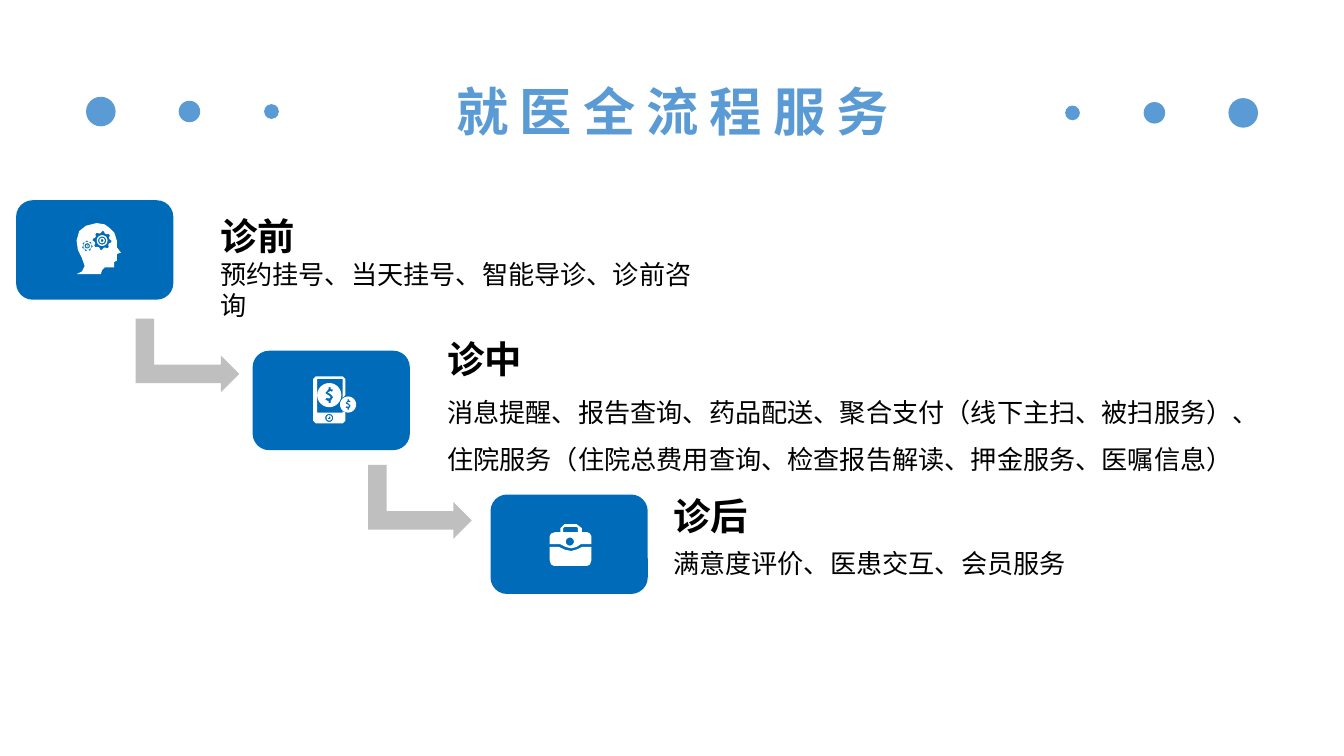
import math
import pptx
import pptx.util
import pptx.dml.color
import pptx.enum.shapes
import pptx.enum.text
from pptx.util import Inches, Pt

FONT = "Noto Sans CJK SC"
LIGHT_BLUE, BLUE, GREY, WHITE, BLACK = "5B9BD5", "006CB9", "BFBFBF", "FFFFFF", "000000"
SHAPE = pptx.enum.shapes.MSO_SHAPE

# Content: card corner, text box, line spacing, heading and details
TITLE = "就医全流程服务"
STAGES = [
    ((0.12, 1.49), (1.54, 1.54, 3.89, 0.67), 1.0, "诊前",
     ["预约挂号、当天挂号、智能导诊、诊前咨询"]),
    ((1.88, 2.61), (3.23, 2.45, 6.66, 1.14), 1.5, "诊中",
     ["消息提醒、报告查询、药品配送、聚合支付（线下主扫、被扫服务）、",
      "住院服务（住院总费用查询、检查报告解读、押金服务、医嘱信息）"]),
    ((3.65, 3.68), (4.91, 3.62, 3.73, 1.99), 1.3, "诊后",
     ["满意度评价、医患交互、会员服务"]),
]
CARD_SIZE = (1.17, 0.74)
ARROWS = [(1.12, 2.26), (2.85, 3.35)]
DOTS = [(0.75, 0.22), (1.41, 0.16), (2.02, 0.11)]  # centre x, diameter
LEFT_DOT_Y, RIGHT_DOT_Y = 0.83, 0.84

# Icon outlines
HEAD = [(0.57, 2.04), (0.61, 2.02), (0.63, 1.98), (0.61, 1.92), (0.58, 1.86),
        (0.57, 1.79), (0.59, 1.72), (0.64, 1.68), (0.72, 1.66), (0.78, 1.67),
        (0.82, 1.70), (0.85, 1.73), (0.87, 1.79), (0.87, 1.84), (0.90, 1.88),
        (0.87, 1.89), (0.87, 1.94), (0.85, 1.95), (0.85, 1.99), (0.78, 1.99),
        (0.76, 2.01), (0.75, 2.04)]
PHONE = [(2.35, 2.80), (2.55, 2.80), (2.57, 2.82), (2.57, 2.94), (2.55, 2.96),
         (2.55, 2.82), (2.36, 2.82), (2.36, 3.07), (2.55, 3.07), (2.55, 3.06),
         (2.57, 3.07), (2.57, 3.13), (2.55, 3.15), (2.35, 3.15), (2.33, 3.13),
         (2.33, 2.82)]
POWER_BAR = [(2.44, 3.09), (2.45, 3.09), (2.45, 3.11), (2.44, 3.11)]
# Dollar sign around the centre of a coin of radius 9
DOLLAR = [(1, 4.5), (1, 6), (-0.5, 6), (-0.5, 4.5), (-3, 3.5), (-2, 2), (0, 2.5),
          (1, 1.5), (0, 0.5), (-3, -1.5), (-0.5, -4.5), (-0.5, -6), (1, -6),
          (1, -4.5), (3, -4), (2, -2.5), (1, -3), (-1, -2), (1, -0.8), (3, 1.5)]
CASE_TOP = [(4.09, 4.05), (4.09, 3.99), (4.10, 3.97), (4.13, 3.96), (4.17, 3.96),
            (4.17, 3.93), (4.20, 3.90), (4.29, 3.90), (4.33, 3.93), (4.33, 3.96),
            (4.37, 3.96), (4.39, 3.97), (4.40, 3.99), (4.40, 4.05), (4.32, 4.05),
            (4.29, 4.07), (4.25, 4.08), (4.21, 4.07), (4.17, 4.05)]
CASE_HANDLE = [(4.19, 3.96), (4.19, 3.93), (4.20, 3.92), (4.29, 3.92), (4.30, 3.93),
               (4.30, 3.96)]
CASE_BASE = [(4.09, 4.07), (4.16, 4.07), (4.20, 4.09), (4.25, 4.10), (4.29, 4.09),
             (4.33, 4.07), (4.40, 4.07), (4.40, 4.17), (4.39, 4.20), (4.37, 4.21),
             (4.12, 4.21), (4.10, 4.20), (4.09, 4.17)]


def circle(x, y, radius, steps=24):
    angles = [2 * math.pi * i / steps for i in range(steps)]
    return [(x + radius * math.cos(a), y + radius * math.sin(a)) for a in angles]


def gear(x, y, radius, teeth=8):
    outline = []
    for i, (px, py) in enumerate(circle(x, y, radius, teeth * 4)):
        scale = 1 if i % 4 < 2 else 0.8
        outline.append((x + (px - x) * scale, y + (py - y) * scale))
    return outline


def ring(x, y, outer, inner):
    return [circle(x, y, outer), circle(x, y, inner)]


def coin(x, y, radius):
    return [circle(x, y, radius),
            [(x + dx * radius / 9, y + dy * radius / 9) for dx, dy in DOLLAR]]


# Each icon is a list of parts; the first outline of a part is cut by the others
ICONS = [
    [ring(0.65, 1.83, 0.03, 0.02), ring(0.76, 1.79, 0.02, 0.01),
     ring(0.65, 1.83, 0.01, 0.005), ring(0.76, 1.79, 0.04, 0.03),
     [HEAD, gear(0.76, 1.79, 0.07), gear(0.65, 1.83, 0.04, 7)]],
    [ring(2.45, 3.11, 0.02, 0.01), [POWER_BAR], coin(2.45, 2.94, 0.09),
     [PHONE, circle(2.45, 3.11, 0.03)], coin(2.59, 3.01, 0.06)],
    [[CASE_BASE], [CASE_TOP, CASE_HANDLE, circle(4.24, 4.03, 0.03)]],
]


def rgb(color):
    return pptx.dml.color.RGBColor.from_string(color)


def paint(shape, color):
    shape.shadow.inherit = False
    shape.fill.solid()
    shape.fill.fore_color.rgb = rgb(color)
    shape.line.fill.background()


def add_preset(kind, left, top, width, height, color):
    shape = slide.shapes.add_shape(kind, *map(Inches, (left, top, width, height)))
    paint(shape, color)
    return shape


def add_icon(parts):
    group = slide.shapes.add_group_shape()
    for outlines in parts:
        outlines = [[(Inches(x), Inches(y)) for x, y in o] for o in outlines]
        builder = group.shapes.build_freeform(*outlines[0][0], scale=1.0)
        for i, outline in enumerate(outlines):
            if i:
                builder.move_to(*outline[0])
            builder.add_line_segments(outline[1:], close=True)
        paint(builder.convert_to_shape(), WHITE)


def style(paragraph, size, color, bold, spacing):
    paragraph.font.name = FONT
    paragraph.font.size = Pt(size)
    paragraph.font.bold = bold
    paragraph.font.color.rgb = rgb(color)
    paragraph.line_spacing = spacing


# A 16:9 slide
prs = pptx.Presentation()
prs.slide_width = Inches(10)
prs.slide_height = prs.slide_width * 9 // 16
slide = prs.slides.add_slide(prs.slide_layouts[5])

# Title
title = slide.shapes.title
title.left, title.top, title.width, title.height = map(Inches, (2.91, 0.4, 4.19, 0.71))
title.text_frame.text = TITLE
title.text_frame.auto_size = pptx.enum.text.MSO_AUTO_SIZE.NONE
title.text_frame.vertical_anchor = pptx.enum.text.MSO_ANCHOR.TOP
heading = title.text_frame.paragraphs[0]
style(heading, 28, LIGHT_BLUE, True, 1.3)
heading.runs[0].font._element.set("spc", "600")

# Dots, mirrored on both sides of the title
for center, size in DOTS:
    for x, y in ((center, LEFT_DOT_Y), (10 - center, RIGHT_DOT_Y)):
        add_preset(SHAPE.OVAL, x - size / 2, y - size / 2, size, size, LIGHT_BLUE)

# Steps between stages
for left, top in ARROWS:
    add_preset(SHAPE.BENT_UP_ARROW, left, top, 0.55, 0.77, GREY).rotation = 90

# Stages
for (corner, text_area, spacing, name, details), icon in zip(STAGES, ICONS):
    add_preset(SHAPE.ROUNDED_RECTANGLE, *corner, *CARD_SIZE, BLUE)
    add_icon(icon)
    frame = slide.shapes.add_textbox(*map(Inches, text_area)).text_frame
    frame.word_wrap = True
    frame.text = "\n".join([name] + details)
    style(frame.paragraphs[0], 20, BLACK, True, 1.0)
    for detail in frame.paragraphs[1:]:
        style(detail, 14, BLACK, False, spacing)

prs.save("out.pptx")
